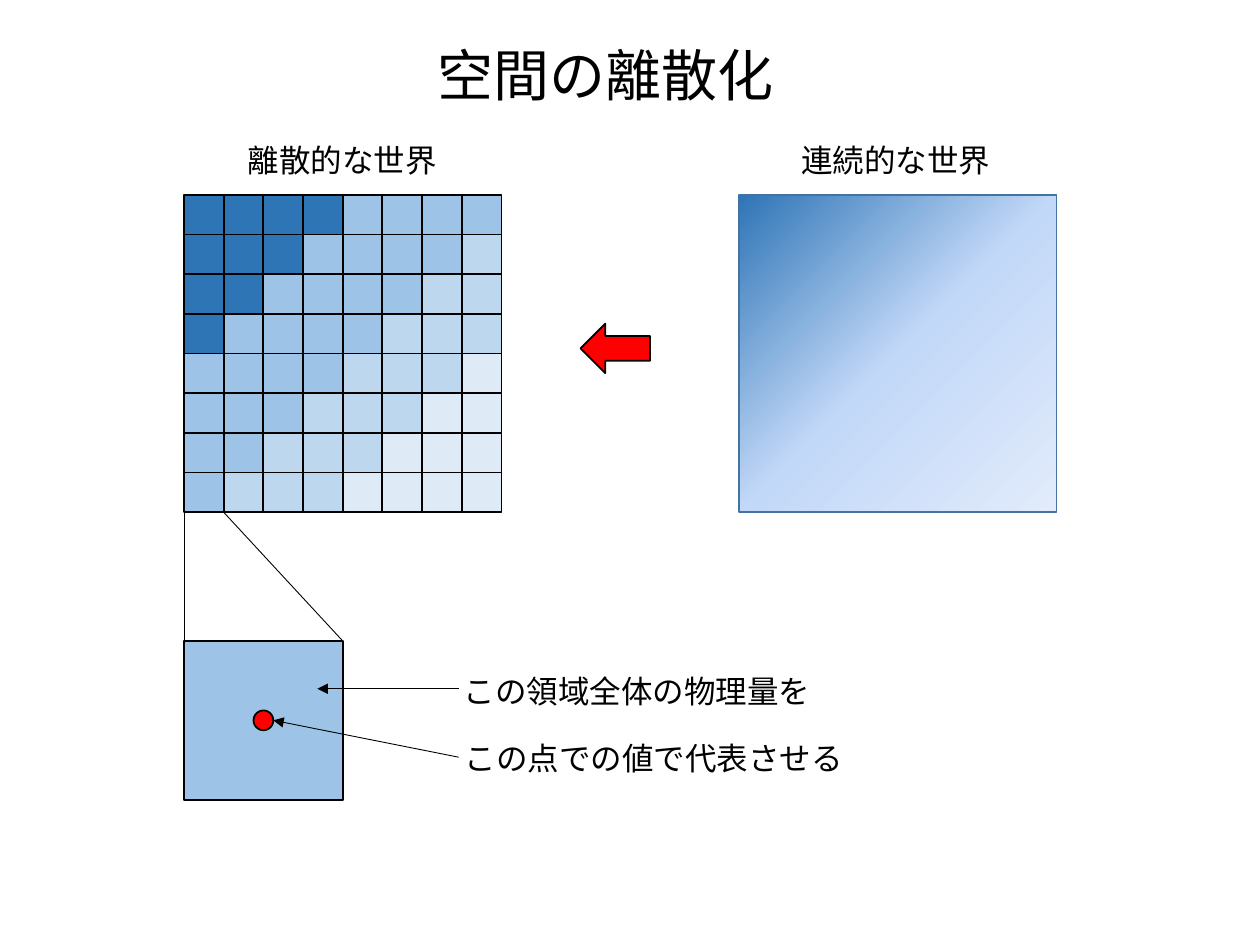
from copy import deepcopy

from lxml import etree
from pptx import Presentation
from pptx.dml.color import RGBColor
from pptx.enum.shapes import MSO_CONNECTOR, MSO_SHAPE
from pptx.enum.text import MSO_ANCHOR, MSO_AUTO_SIZE, PP_ALIGN
from pptx.oxml.ns import qn
from pptx.util import Pt

STRAIGHT = MSO_CONNECTOR.STRAIGHT
RECTANGLE, OVAL, RIGHT_ARROW = MSO_SHAPE.RECTANGLE, MSO_SHAPE.OVAL, MSO_SHAPE.RIGHT_ARROW
TOP, LEFT, CENTER = MSO_ANCHOR.TOP, PP_ALIGN.LEFT, PP_ALIGN.CENTER
FIT_SHAPE = MSO_AUTO_SIZE.SHAPE_TO_FIT_TEXT

COLORS = {
    "black": "000000", "red": "FF0000", "edge": "43739E",
    "dark": "2E75B6", "middle": "9DC3E6", "light": "BDD7EE", "pale": "DEEBF7",
    "sky": "C2D8F8", "mist": "E1EBFB",
}
TITLE = ("空間の離散化", (241.9, 19.4, 208.1, 46.1))
LABELS = [
    ("連続的な世界", (450.7, 77, 123.8, 29)),
    ("離散的な世界", (134.6, 77, 123.8, 29)),
    ("この領域全体の物理量を", (257.8, 380.2, 214.6, 29)),
    ("この点での値で代表させる", (258.5, 419, 232.6, 29)),
]
BANDS = [(4, "dark"), (8, "middle"), (11, "light"), (15, "pale")]
GRADIENT = [(0, "dark"), (0.5, "sky"), (1, "mist")]
COUNT, CELL = 8, 22.67
GRID_LEFT, GRID_TOP = 105.2, 111.4
GRID_SIZE = COUNT * CELL
GRID_RIGHT, GRID_BOTTOM = GRID_LEFT + GRID_SIZE, GRID_TOP + GRID_SIZE
FIELD_LEFT = 422.4
ZOOM_TOP, ZOOM_SIZE = 366.3, 4 * CELL
DOT_SIZE = 11.34
DOT_LEFT = GRID_LEFT + (ZOOM_SIZE - DOT_SIZE) / 2
DOT_TOP = ZOOM_TOP + (ZOOM_SIZE - DOT_SIZE) / 2
POINTERS = [
    ((262.1, 393.6), (181.4, 393.6)),
    ((262.1, 432.7), (DOT_LEFT + DOT_SIZE, DOT_TOP + DOT_SIZE / 2)),
]


def color(name):
    """Return the named colour."""
    return RGBColor.from_string(COLORS[name])


def add_shape(slide, kind, place, fill, edge="black"):
    """Add an outlined preset shape."""
    shape = slide.shapes.add_shape(kind, *map(Pt, place))
    shape.shadow.inherit = False
    shape.fill.solid()
    shape.fill.fore_color.rgb = color(fill)
    shape.line.color.rgb = color(edge)
    shape.line.width = Pt(1)
    return shape


def add_line(slide, start, end, arrow=False):
    """Add a thin line, with an arrowhead at its end if asked."""
    line = slide.shapes.add_connector(STRAIGHT, *map(Pt, start + end))
    line.line.color.rgb = color("black")
    line.line.width = Pt(0.5)
    properties = line._element.spPr
    etree.SubElement(properties, qn("a:effectLst"))
    if arrow:
        etree.SubElement(properties.find(qn("a:ln")), qn("a:tailEnd"), type="triangle")


def write(box, text, size, alignment):
    """Write one line of text in a box."""
    frame = box.text_frame
    frame.text = text
    frame.word_wrap = False
    frame.auto_size = FIT_SHAPE
    frame.vertical_anchor = TOP
    para = frame.paragraphs[0]
    para.alignment = alignment
    para.font.name = "Calibri"
    para.font.size = Pt(size)
    para.font.color.rgb = color("black")


def add_title(slide):
    """Place and format the title."""
    text, place = TITLE
    title = slide.shapes.title
    title.left, title.top, title.width, title.height = map(Pt, place)
    write(title, text, 32, CENTER)


def add_field(slide):
    """Add the continuous field with its diagonal gradient."""
    field = add_shape(slide, RECTANGLE, (FIELD_LEFT, GRID_TOP, GRID_SIZE, GRID_SIZE), "dark", "edge")
    field.fill.gradient()
    field.fill.gradient_angle = 315
    stop_list = field._element.spPr.find(qn("a:gradFill")).find(qn("a:gsLst"))
    stop_list.append(deepcopy(stop_list[-1]))
    for stop, (position, name) in zip(field.fill.gradient_stops, GRADIENT):
        stop.position = position
        stop.color.rgb = color(name)


def add_grid(slide):
    """Add the grid lines and cells, coloured in diagonal bands."""
    for index in range(COUNT + 1):
        x, y = GRID_LEFT + index * CELL, GRID_TOP + index * CELL
        add_line(slide, (x, GRID_TOP), (x, GRID_BOTTOM))
        add_line(slide, (GRID_LEFT, y), (GRID_RIGHT, y))
    for row in range(COUNT):
        for column in range(COUNT):
            fill = next(name for limit, name in BANDS if row + column < limit)
            place = (GRID_LEFT + column * CELL, GRID_TOP + row * CELL, CELL, CELL)
            add_shape(slide, RECTANGLE, place, fill)


def add_zoom(slide):
    """Add the enlarged cell, its sample point and its lines."""
    add_shape(slide, RECTANGLE, (GRID_LEFT, ZOOM_TOP, ZOOM_SIZE, ZOOM_SIZE), "middle")
    add_shape(slide, OVAL, (DOT_LEFT, DOT_TOP, DOT_SIZE, DOT_SIZE), "red")
    for cell_offset, zoom_offset in [(0, 0), (CELL, ZOOM_SIZE)]:
        add_line(slide, (GRID_LEFT + cell_offset, GRID_BOTTOM), (GRID_LEFT + zoom_offset, ZOOM_TOP))
    for start, end in POINTERS:
        add_line(slide, start, end, arrow=True)


def main():
    """Build the slide and save the deck."""
    deck = Presentation()
    deck.slide_width, deck.slide_height = Pt(720), Pt(540)
    slide = deck.slides.add_slide(deck.slide_layouts[5])
    add_title(slide)
    add_field(slide)
    add_grid(slide)
    arrow = add_shape(slide, RIGHT_ARROW, (331.7, 184.9, 39.7, 28.35), "red")
    arrow.rotation = 180
    add_zoom(slide)
    for text, place in LABELS:
        write(slide.shapes.add_textbox(*map(Pt, place)), text, 18, LEFT)
    deck.save("out.pptx")


if __name__ == "__main__":
    main()
